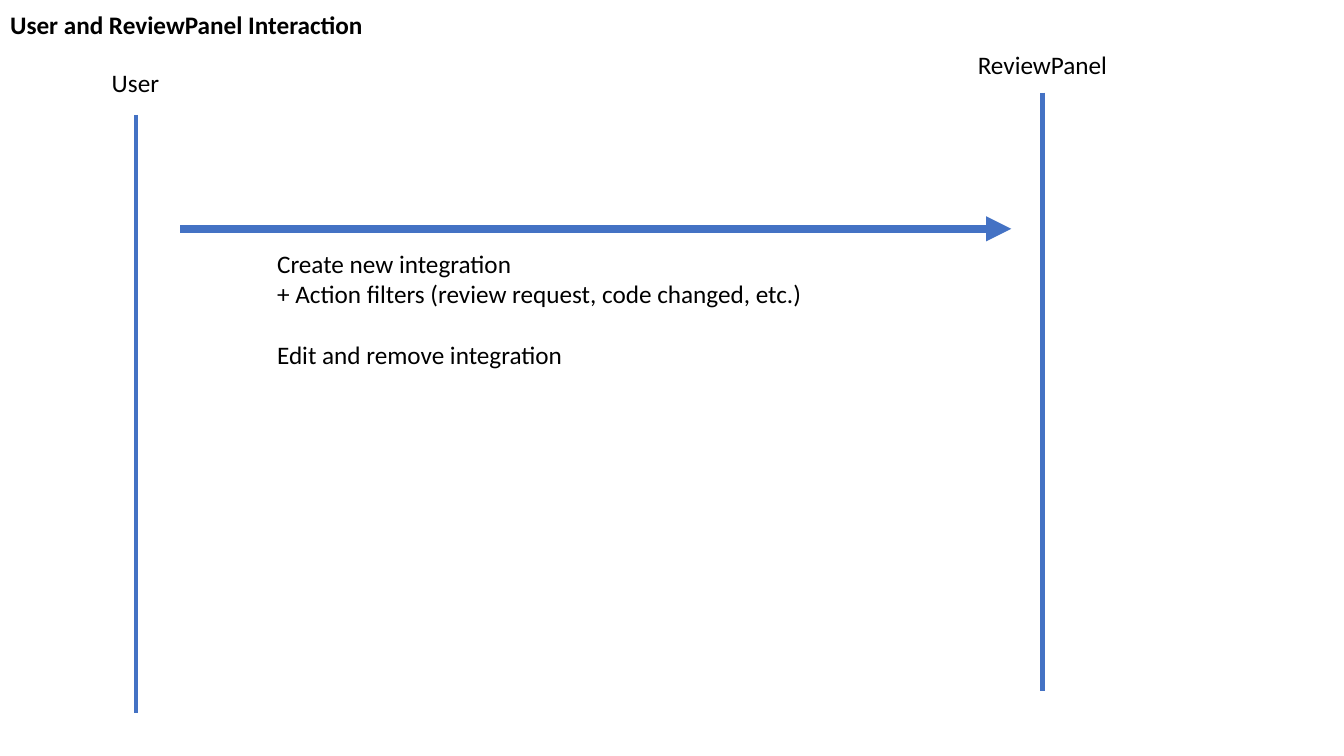
"""Build a sequence slide showing how a user works with the review service."""
import pptx
import pptx.dml.color
import pptx.enum.shapes
import pptx.enum.text
import pptx.oxml.ns
import pptx.util
from lxml import etree

PX = 9144
FONT = "Calibri"
FONT_SIZE = 18
BLANK_LINE = 22
COLORS = {"line": "4472C4", "text": "000000"}
ALIGN = pptx.enum.text.PP_ALIGN


def px(length):
    return pptx.util.Emu(length * PX)


def rgb(name):
    return pptx.dml.color.RGBColor.from_string(COLORS[name])


def format_text(shape, text, align=ALIGN.LEFT, bold=False):
    frame = shape.text_frame
    frame.text = text
    frame.word_wrap = True
    frame.auto_size = pptx.enum.text.MSO_AUTO_SIZE.NONE
    frame.vertical_anchor = pptx.enum.text.MSO_ANCHOR.TOP
    for paragraph in frame.paragraphs:
        paragraph.alignment = align
        for run in paragraph.runs:
            run.font.name = FONT
            run.font.size = pptx.util.Pt(FONT_SIZE)
            run.font.bold = bold
            run.font.color.rgb = rgb("text")


def place_title(slide, text, left, top, width, height):
    title = slide.shapes.title
    title.left, title.top = px(left), px(top)
    title.width, title.height = px(width), px(height)
    format_text(title, text, bold=True)


def add_text(slide, text, left, top, width, height, align=ALIGN.LEFT):
    shape = slide.shapes.add_textbox(px(left), px(top), px(width), px(height))
    format_text(shape, text, align)
    return shape


def add_line(slide, start, end, weight):
    connector = slide.shapes.add_connector(
        pptx.enum.shapes.MSO_CONNECTOR.STRAIGHT, *map(px, start + end)
    )
    connector.line.color.rgb = rgb("line")
    connector.line.width = pptx.util.Pt(weight)
    properties = connector._element.spPr
    etree.SubElement(properties, pptx.oxml.ns.qn("a:effectLst"))
    return connector


def add_lifeline(slide, x, top, bottom):
    add_line(slide, (x, top), (x, bottom), 3)


def add_message_arrow(slide, left, right, y):
    arrow = add_line(slide, (left, y), (right, y), 6)
    outline = arrow.line._get_or_add_ln()
    etree.SubElement(outline, pptx.oxml.ns.qn("a:tailEnd"), type="triangle")


def main():
    presentation = pptx.Presentation()
    presentation.slide_width, presentation.slide_height = px(1333), px(750)
    slide = presentation.slides.add_slide(presentation.slide_layouts[5])

    place_title(slide, "User and ReviewPanel Interaction", 0, 4, 454, 40)
    add_lifeline(slide, 135, 114, 707)
    add_lifeline(slide, 1034, 92, 686)
    add_text(slide, "User", 101, 62, 99, 40)
    add_text(slide, "ReviewPanel", 951, 44, 166, 40, ALIGN.CENTER)
    add_message_arrow(slide, 179, 1003, 227)

    actions = add_text(
        slide,
        "Create new integration\n"
        "+ Action filters (review request, code changed, etc.)\n"
        "Edit and remove integration",
        265, 241, 639, 131,
    )
    actions.text_frame.paragraphs[-1].space_before = pptx.util.Pt(BLANK_LINE)
    presentation.save("out.pptx")


if __name__ == "__main__":
    main()
